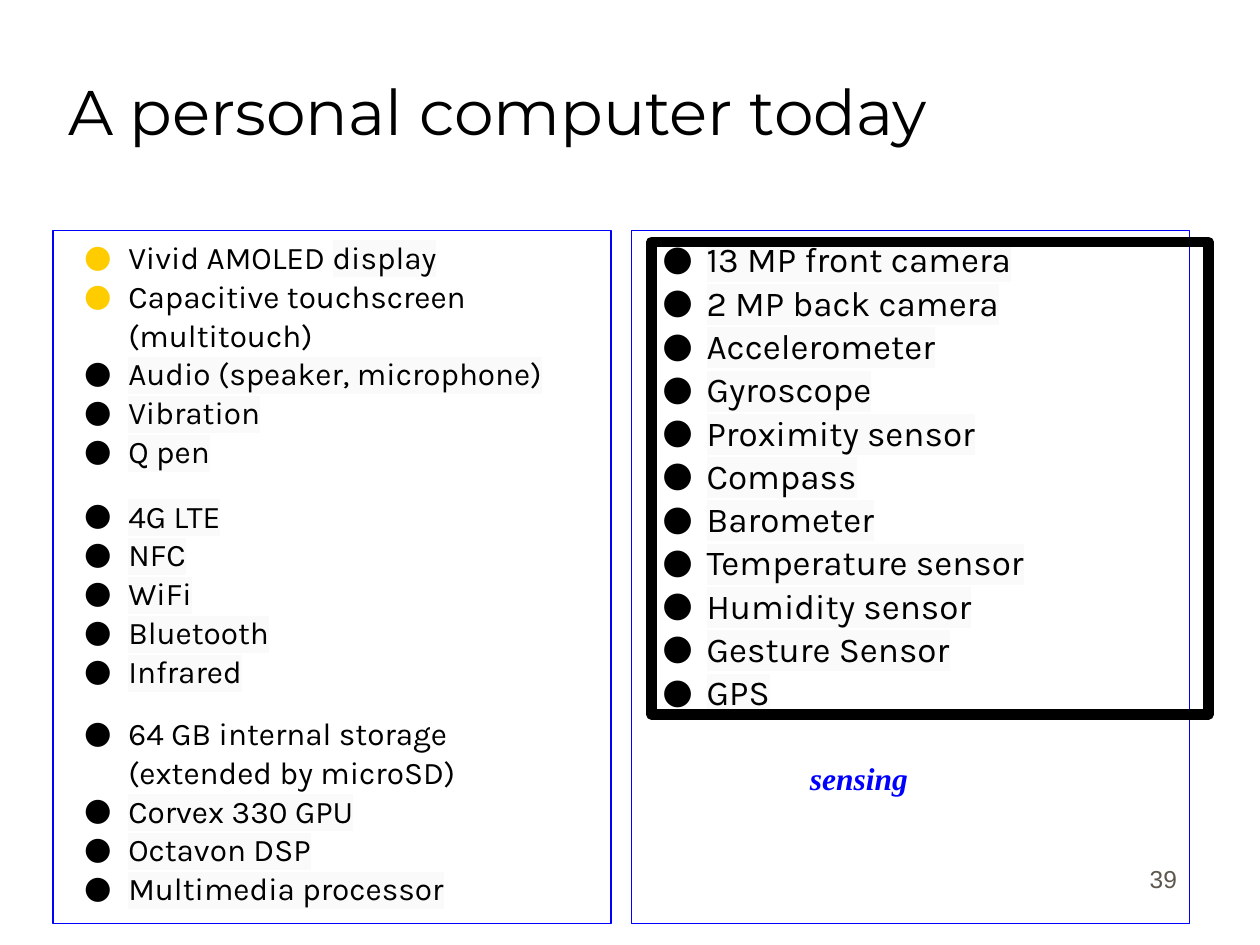
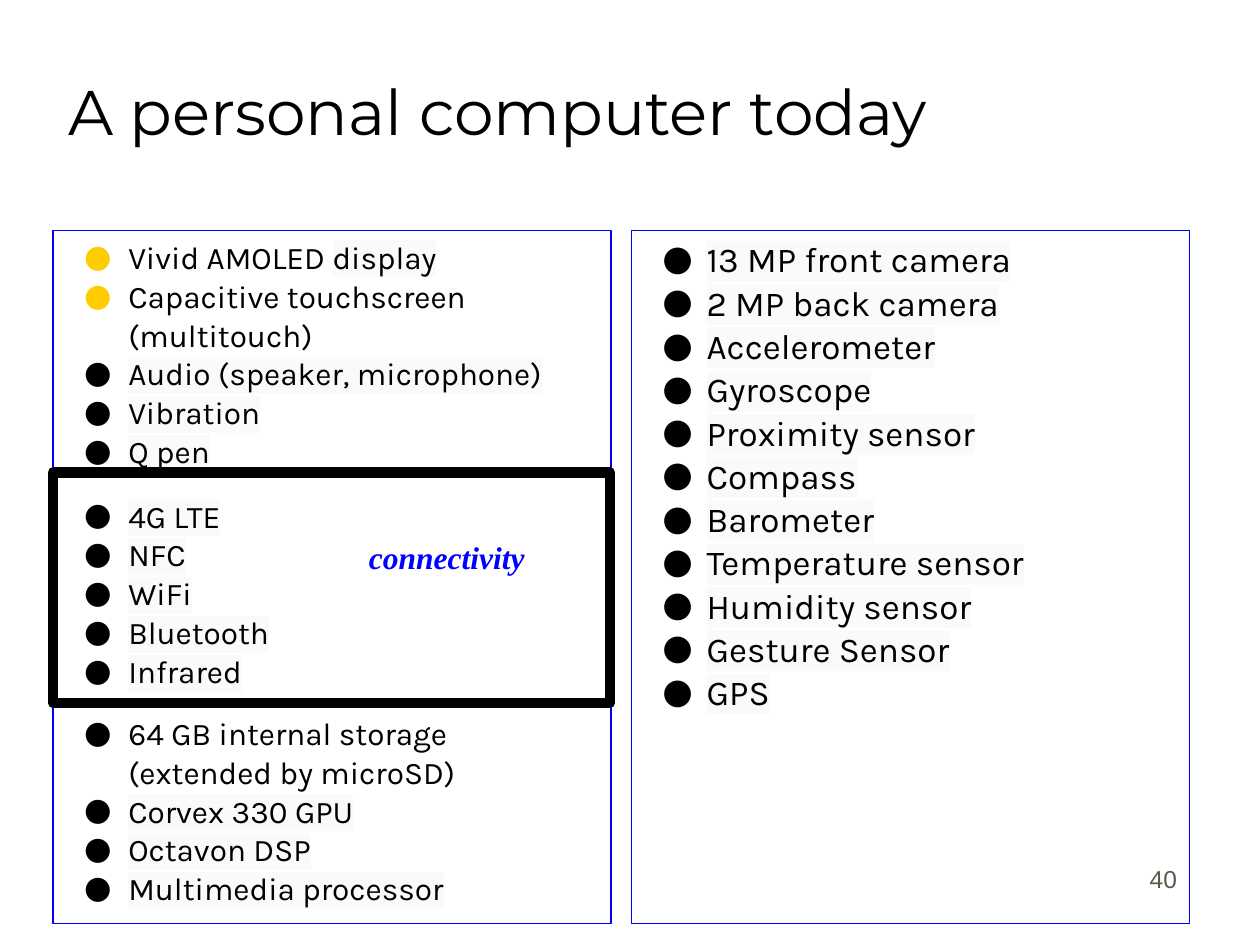
from lxml.etree import SubElement
from pptx import Presentation
from pptx.dml.color import RGBColor
from pptx.enum.shapes import MSO_SHAPE as SHAPE
from pptx.enum.text import MSO_ANCHOR as ANCHOR, PP_ALIGN as ALIGN
from pptx.oxml.ns import qn
from pptx.util import Pt

PX = 9144  # 100 px to the inch
BLACK = RGBColor(0x00, 0x00, 0x00)
BLUE = RGBColor(0x00, 0x00, 0xFF)
YELLOW = RGBColor(0xFF, 0xCC, 0x00)
GREY = RGBColor(0x5E, 0x57, 0x4E)
SHADE = RGBColor(0xFA, 0xFA, 0xFA)

TITLE = "A personal computer today"
PANEL_TOP, PANEL_WIDTH, PANEL_HEIGHT = 183, 443, 550

# Each group: space before it, then items of (bullet colour, plain text, shaded text)
HARDWARE = [
    (0, [(YELLOW, "Vivid AMOLED ", "display"),
         (YELLOW, "Capacitive touchscreen (multitouch)", ""),
         (BLACK, "", "Audio (speaker, microphone)"),
         (BLACK, "", "Vibration"),
         (BLACK, "", "Q pen")]),
    (14.5, [(BLACK, "", name) for name in
            ("4G LTE", "NFC", "WiFi", "Bluetooth", "Infrared")]),
    (13, [(BLACK, "64 GB internal storage (extended by microSD)", ""),
          (BLACK, "", "Corvex 330 GPU"),
          (BLACK, "", "Octavon DSP"),
          (BLACK, "", "Multimedia processor")]),
]
SENSORS = [
    (0, [(BLACK, "", name) for name in
         ("13 MP front camera", "2 MP back camera", "Accelerometer", "Gyroscope",
          "Proximity sensor", "Compass", "Barometer", "Temperature sensor",
          "Humidity sensor", "Gesture Sensor", "GPS")]),
]
PANELS = [(42, 18, HARDWARE), (501, 20, SENSORS)]

# Slide number, highlighted area, its caption and the caption's corner
SLIDES = [
    ("39", (517, 192, 442, 375), "sensing", (633, 592)),
    ("40", (42, 375, 442, 183), "connectivity", (283, 417)),
]


def add_outline(slide, box, color, weight):
    outline = slide.shapes.add_shape(SHAPE.RECTANGLE, *[v * PX for v in box])
    outline.shadow.inherit = False
    outline.fill.background()
    outline.line.color.rgb = color
    outline.line.width = Pt(weight)
    return outline


def set_text(frame, text, font, size, color, inset_y=10):
    frame.word_wrap = True
    frame.margin_left = frame.margin_right = 10 * PX
    frame.margin_top = frame.margin_bottom = inset_y * PX
    frame.text = text
    paragraph = frame.paragraphs[0]
    paragraph.font.name = font
    paragraph.font.size = Pt(size)
    paragraph.font.color.rgb = color
    return paragraph


prs = Presentation()
prs.slide_width, prs.slide_height = 1000 * PX, 750 * PX

for number, focus_box, caption, (caption_left, caption_top) in SLIDES:
    slide = prs.slides.add_slide(prs.slide_layouts[5])

    # Title
    title = slide.shapes.title
    title.left, title.top, title.width, title.height = [v * PX for v in (44, 25, 850, 125)]
    title.text_frame.vertical_anchor = ANCHOR.MIDDLE
    set_text(title.text_frame, TITLE, "Montserrat", 36, BLACK).alignment = ALIGN.LEFT

    # Feature lists
    for left, size, groups in PANELS:
        panel = add_outline(slide, (left, PANEL_TOP, PANEL_WIDTH, PANEL_HEIGHT), BLUE, 0.75)
        frame = panel.text_frame
        frame.vertical_anchor = ANCHOR.TOP
        paragraph = set_text(frame, "", "Karla", size, BLACK, inset_y=5)
        for gap, items in groups:
            for i, (bullet_color, plain, shaded) in enumerate(items):
                if paragraph.runs:
                    paragraph = frame.add_paragraph()
                paragraph.alignment = ALIGN.LEFT
                paragraph.line_spacing = 1.03
                if gap and i == 0:
                    paragraph.space_before = Pt(gap)
                props = paragraph._p.get_or_add_pPr()
                props.set("marL", str(50 * PX))
                props.set("indent", str(-35 * PX))
                # The bullet has to stand before the default font
                for default in props.findall(qn("a:defRPr")):
                    props.remove(default)
                tint = SubElement(props, qn("a:buClr"))
                SubElement(tint, qn("a:srgbClr"), val=str(bullet_color))
                SubElement(props, qn("a:buFont"), typeface="Karla")
                SubElement(props, qn("a:buChar"), char="●")
                paragraph.font.name = "Karla"
                paragraph.font.size = Pt(size)
                paragraph.font.color.rgb = BLACK
                if plain:
                    paragraph.add_run().text = plain
                if shaded:
                    run = paragraph.add_run()
                    run.text = shaded
                    highlight = SubElement(run._r.get_or_add_rPr(), qn("a:highlight"))
                    SubElement(highlight, qn("a:srgbClr"), val=str(SHADE))

    # Slide number
    number_box = slide.shapes.add_textbox(*[v * PX for v in (736, 681, 208, 50)])
    set_text(number_box.text_frame, number, "Arial", 14, GREY, inset_y=5).alignment = ALIGN.RIGHT

    # Highlighted area with rounded line joins
    focus = add_outline(slide, focus_box, BLACK, 6)
    SubElement(focus.line._get_or_add_ln(), qn("a:round"))

    # Caption of the highlighted area
    caption_box = slide.shapes.add_textbox(caption_left * PX, caption_top * PX, 159 * PX, 38 * PX)
    label = set_text(caption_box.text_frame, caption, "Times New Roman", 18, BLUE)
    label.font.bold = label.font.italic = True

prs.save("out.pptx")
